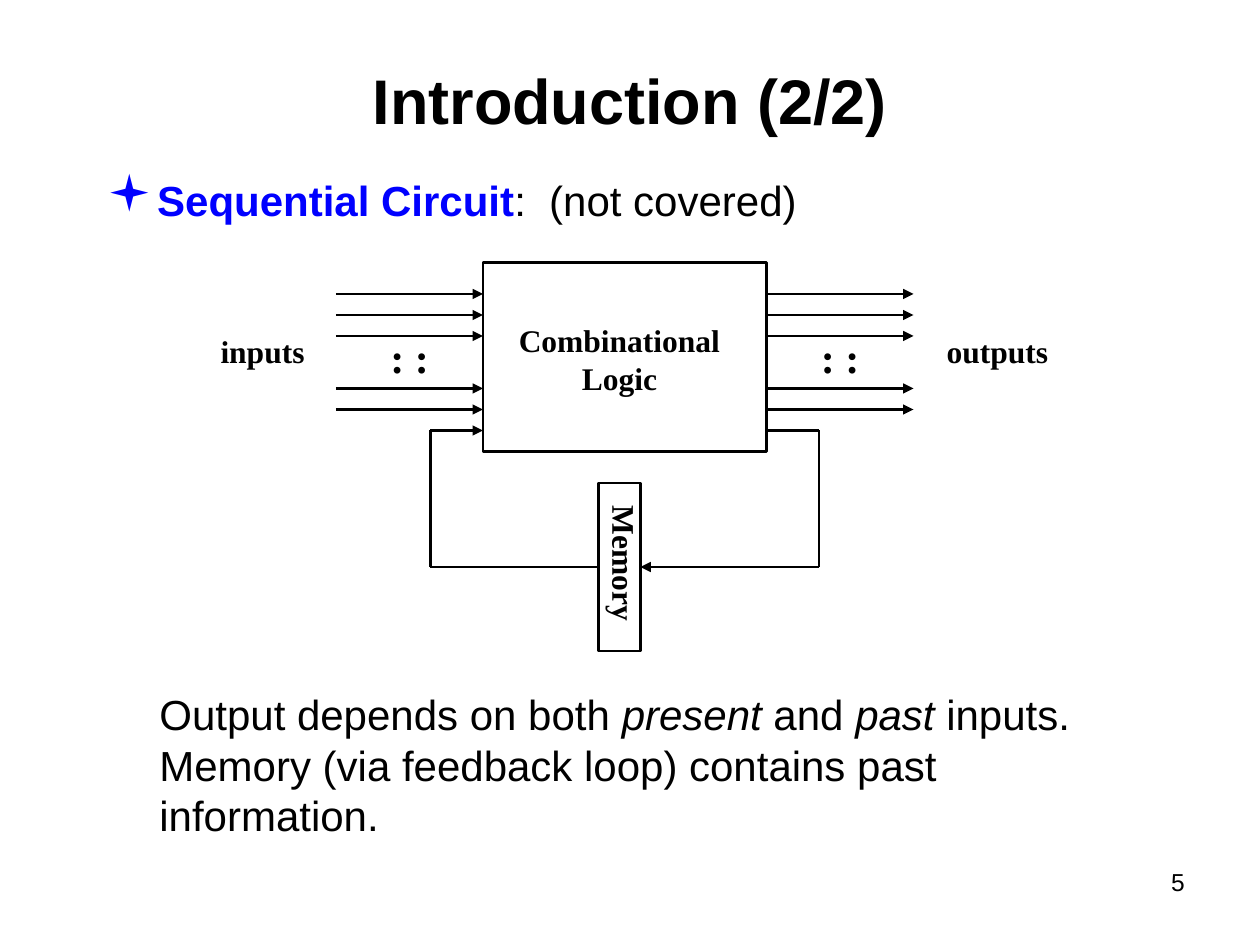
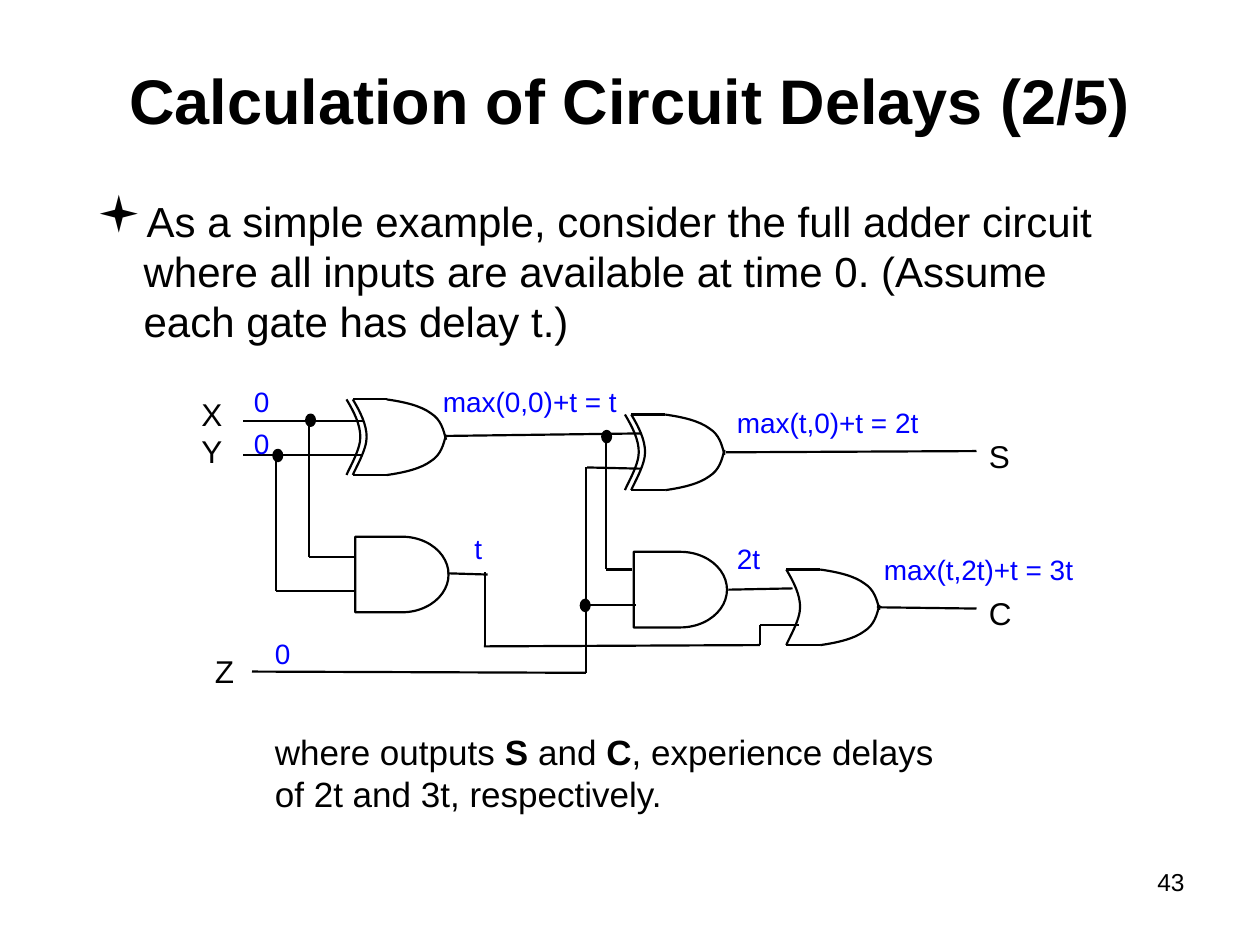
"""Build two slides on logic circuits: a sequential block diagram and adder delays."""
from lxml import etree
from pptx import Presentation, util as u
from pptx.dml.color import RGBColor
from pptx.enum import shapes as es, text as et
from pptx.oxml.ns import qn

BLACK = RGBColor(0, 0, 0)
BLUE = RGBColor(0, 0, 255)
SANS, SERIF = "Arial", "Times New Roman"
BOLD, SLANT = {"bold": True}, {"italic": True}
LEFT, MID, RIGHT = et.PP_ALIGN.LEFT, et.PP_ALIGN.CENTER, et.PP_ALIGN.RIGHT
BODY = {"size": u.Pt(24)}
LABEL = {"name": SERIF, "size": u.Pt(18), "bold": True}
DOTS = {"name": SERIF, "size": u.Pt(24), "bold": True}
PIN = {"size": u.Pt(18)}
TIME = {"size": u.Pt(16), "color": BLUE}

deck = Presentation()
deck.slide_width, deck.slide_height = u.Inches(10), u.Inches(7.5)
CELL = deck.slide_width // 120
FINE = deck.slide_width // 1000


def write(page, box, paras, form, align=LEFT, mark=None):
    """Place text in a grid box; each paragraph is a list of (words, format)."""
    shape = page.shapes.add_textbox(*[round(CELL * n) for n in box])
    frame = shape.text_frame
    frame.word_wrap = True
    for i, runs in enumerate(paras):
        para = frame.paragraphs[0] if i == 0 else frame.add_paragraph()
        para.alignment = align
        if mark is not None:
            props = para._p.get_or_add_pPr()
            props.set("marL", str(u.Inches(0.375)))
            props.set("indent", str(-u.Inches(0.375)))
            tint = etree.SubElement(props, qn("a:buClr"))
            etree.SubElement(tint, qn("a:srgbClr"), val=str(mark))
            etree.SubElement(props, qn("a:buSzPct"), val="120000")
            etree.SubElement(props, qn("a:buFont"), typeface="Wingdings", charset="2")
            etree.SubElement(props, qn("a:buChar"), char="▪")
        for words, extra in runs:
            run = para.add_run()
            run.text = words
            look = {"name": SANS, "color": BLACK, **form, **extra}
            run.font.color.rgb = look.pop("color")
            for key, val in look.items():
                setattr(run.font, key, val)
    return shape


def wire(page, unit, x1, y1, x2, y2, tip=False):
    """Draw a straight wire between two grid points, with an optional arrowhead."""
    ends = [unit * n for n in (x1, y1, x2, y2)]
    link = page.shapes.add_connector(es.MSO_CONNECTOR.STRAIGHT, *ends)
    link.line.color.rgb, link.line.width = BLACK, u.Pt(1.25)
    if tip:
        etree.SubElement(link.line._get_or_add_ln(), qn("a:tailEnd"), type="triangle")
    etree.SubElement(link._element.spPr, qn("a:effectLst"))


pages = []
for title, num in (("Introduction (2/2)", "5"),
                   ("Calculation of Circuit Delays (2/5)", "43")):
    page = deck.slides.add_slide(deck.slide_layouts[6])
    write(page, (86, 82, 28, 6.25), [[(num, {})]], {"size": u.Pt(14)}, RIGHT)
    head = write(page, (9, 2, 102, 15), [[(title, BOLD)]], {"size": u.Pt(36)}, MID)
    head.text_frame.vertical_anchor = et.MSO_ANCHOR.MIDDLE
    pages.append(page)
intro, delay = pages

write(intro, (9, 16, 102, 7),
      [[("Sequential Circuit", {"bold": True, "color": BLUE}), (":  (not covered)", {})]],
      BODY, mark=BLUE)
write(intro, (14, 65, 94, 17),
      [[("Output depends on both ", {}), ("present", SLANT), (" and ", {}),
        ("past", SLANT), (" inputs.", {})],
       [("Memory (via feedback loop) contains past information.", {})]], BODY)

for box in ((46, 25, 27, 18), (57, 46, 4, 16)):
    block = intro.shapes.add_shape(es.MSO_SHAPE.RECTANGLE, *[CELL * n for n in box])
    block.line.width = u.Pt(1.5)
write(intro, (47, 30, 24, 8.4), [[("Combinational", {})], [("Logic", {})]], LABEL, MID)
memo = write(intro, (52, 52.1, 15, 4.8), [[("Memory", {})]], LABEL)
memo.rotation = 90

for start, end, dots, name, side in ((32, 46, 36, "inputs", 18),
                                     (73, 87, 77, "outputs", 88)):
    for row in (28, 30, 32, 37, 39):
        wire(intro, CELL, start, row, end, row, True)
    write(intro, (dots, 31, 8, 6), [[(": :", {})]], DOTS)
    write(intro, (side, 31, 14, 4.8), [[(name, {})]], LABEL, MID)

for ends in ((41, 41, 41, 54), (78, 41, 73, 41), (78, 41, 78, 54),
             (41, 41, 46, 41, True), (57, 54, 41, 54), (78, 54, 61, 54, True)):
    wire(intro, CELL, *ends)

write(delay, (8, 18, 102, 17),
      [[("As a simple example, consider the full adder circuit where all inputs are "
         "available at time 0. (Assume each gate has delay t.)", {})]], BODY, mark=BLACK)
write(delay, (25, 69, 68, 11),
      [[("where outputs ", {}), ("S", BOLD), (" and ", {}), ("C", BOLD),
        (", experience delays of 2t and 3t, respectively.", {})]], {"size": u.Pt(20)})

for x, y in ((282, 426), (503, 438)):
    delay.shapes.add_shape(es.MSO_SHAPE.FLOWCHART_DELAY,
                           *[FINE * n for n in (x, y, 74, 60)])
for x, y in ((217, 357), (243, 329), (461, 476), (478, 342)):
    delay.shapes.add_shape(es.MSO_SHAPE.OVAL, *[FINE * n for n in (x, y, 7, 9)])

BACK = ((0, 0), (6, 10), (11, 20), (11, 30), (11, 40), (2, 55), (0, 60))
TOP = ((27, 0), (41, 2), (54, 5), (62, 11), (70, 16), (72, 24), (74, 32))
BASE = tuple((x, 60 - y) for x, y in TOP)
for left, top, twin in ((280, 317, True), (501, 329, True), (624, 452, False)):
    for arc, shift in [(BACK, 0), (TOP, 0), (BASE, 0)] + [(BACK, -5)] * twin:
        dots = [(FINE * (left + shift + x), FINE * (top + y)) for x, y in arc]
        pen = delay.shapes.build_freeform(*dots[0], scale=1.0)
        pen.add_line_segments(dots[1:], close=False)
        curve = pen.convert_to_shape()
        track = next(curve._element.iter(qn("a:path")))
        legs = list(track)[1:]
        for first in (0, 3):
            bend = etree.SubElement(track, qn("a:cubicBezTo"))
            for leg in legs[first:first + 3]:
                bend.append(leg[0])
                track.remove(leg)
    for row in (top, top + 60):
        wire(delay, FINE, left, row, left + 27, row)

for ends in ((193, 334, 288, 334), (193, 361, 288, 361), (354, 346, 509, 344),
             (245, 442, 282, 442), (245, 334, 245, 442), (219, 361, 219, 469),
             (219, 469, 282, 469), (355, 455, 387, 456), (466, 371, 509, 372),
             (576, 359, 775, 358), (481, 452, 502, 452), (481, 344, 481, 452),
             (465, 371, 465, 534), (384, 513, 603, 512), (578, 468, 629, 467),
             (200, 533, 465, 534), (465, 480, 505, 480), (385, 513, 385, 454),
             (603, 496, 634, 496), (603, 512, 603, 496), (696, 482, 775, 483)):
    wire(delay, FINE, *ends)

write(delay, (18, 37, 5, 7.2), [[("X", {})], [("Y", {})]], PIN)
for x, y, wide, words, form in (
        (93, 41, 5, "S", PIN), (93, 56, 5, "C", PIN), (19.3, 61.5, 5, "Z", PIN),
        (41, 36, 19.8, "max(0,0)+t = t", TIME), (44, 50, 3.1, "t", TIME),
        (23, 40, 4, "0", TIME), (23, 36, 4, "0", TIME), (25, 60, 4, "0", TIME),
        (69, 38, 21, "max(t,0)+t = 2t", TIME),
        (83, 52, 21, "max(t,2t)+t = 3t", TIME), (69, 51, 5, "2t", TIME)):
    write(delay, (x, y, wide, 4.5), [[(words, {})]], form)

for page in pages:
    for shape in page.shapes:
        kind = shape.shape_type
        if kind not in (es.MSO_SHAPE_TYPE.AUTO_SHAPE, es.MSO_SHAPE_TYPE.FREEFORM):
            continue
        shape.shadow.inherit = False
        shape.line.color.rgb = BLACK
        if page is delay:
            shape.line.width = u.Pt(1.25)
        if (kind == es.MSO_SHAPE_TYPE.AUTO_SHAPE
                and shape.auto_shape_type == es.MSO_SHAPE.OVAL):
            shape.fill.solid()
            shape.fill.fore_color.rgb = BLACK
        else:
            shape.fill.background()

deck.save("out.pptx")
